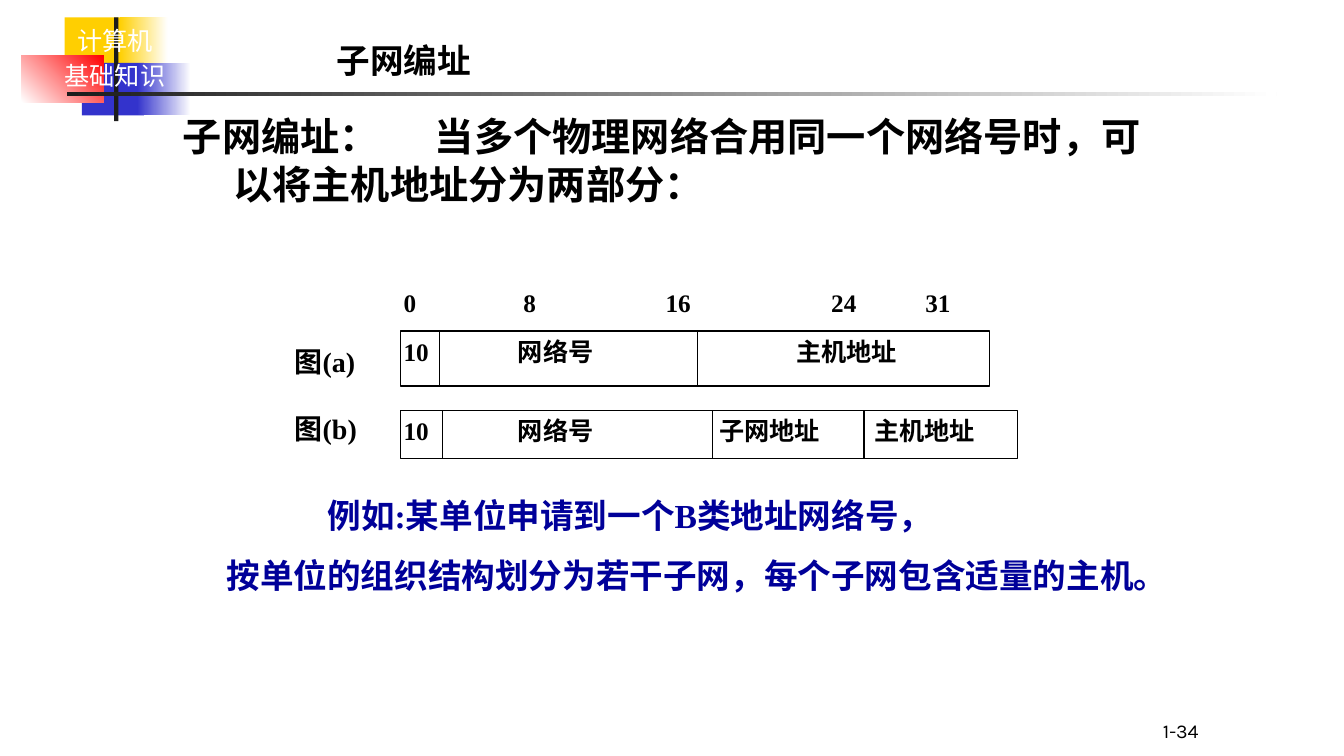
from pptx import Presentation
from pptx.util import Cm, Pt
from pptx.dml.color import RGBColor
from pptx.enum.shapes import MSO_SHAPE, MSO_CONNECTOR
from pptx.enum.text import PP_ALIGN, MSO_ANCHOR
from lxml.etree import SubElement
from pptx.oxml.ns import qn

BLACK = RGBColor(0, 0, 0)
WHITE = RGBColor(255, 255, 255)
GOLD = RGBColor(0xFF, 0xCF, 0x01)
BLUE = RGBColor(0x33, 0x33, 0xCC)
RED = RGBColor(255, 0, 0)
DARK = RGBColor(0x1C, 0x1C, 0x1C)
NAVY = RGBColor(0, 0, 0x99)
SANS, SERIF, KARLA = "Noto Sans CJK SC", "Times New Roman", "Karla"

# Content: lengths in cm
TITLE = "子网编址"
BODY = " 子网编址：\t当多个物理网络合用同一个网络号时，可以将主机地址分为两部分："
CASE = "\t例如:某单位申请到一个B类地址网络号，\n按单位的组织结构划分为若干子网，每个子网包含适量的主机。"
SCALE = "0\t8\t16\t24\t31"
STOPS = [2.26, 4.95, 8.08, 9.86]
DECOR = [  # left, top, width, height, first colour, last colour, angle
    (1.22, 0.33, 1.22, 0.99, GOLD, None, 0),
    (2.26, 0.33, 0.91, 0.99, GOLD, WHITE, 0),
    (1.55, 1.19, 1.17, 0.99, BLUE, None, 0),
    (2.59, 1.19, 1.02, 0.99, BLUE, WHITE, 0),
    (0.41, 1.04, 1.55, 0.89, WHITE, RED, 45),
    (2.16, 0.33, 0.08, 1.96, DARK, None, 0),
    (1.27, 1.73, 22.86, 0.08, DARK, WHITE, 0),
]
EDGE = 7.57
ROWS = [  # top, width, height, dividers, labels with their left edges
    (6.25, 11.13, 1.04, [8.31, 13.18],
     [("10", 7.44), ("网络号", 9.6), ("主机地址", 14.86)]),
    (7.75, 11.66, 0.91, [8.36, 13.46, 16.33],
     [("10", 7.44), ("网络号", 9.6), ("子网地址", 13.41), ("主机地址", 16.33)]),
]

deck = Presentation()
deck.slide_width, deck.slide_height = Cm(25.4), Cm(14.28)
slide = deck.slides.add_slide(deck.slide_layouts[5])
shapes = slide.shapes


def write(box, text, size, font, color=BLACK, bold=True, align=PP_ALIGN.LEFT,
          anchor=MSO_ANCHOR.TOP, before=0, hang=0, stops=()):
    frame = box.text_frame
    frame.text = text
    frame.word_wrap = True
    frame.vertical_anchor = anchor
    frame.margin_left = frame.margin_right = Cm(0.19)
    frame.margin_top = frame.margin_bottom = Cm(0.1)
    for para in frame.paragraphs:
        para.alignment = align
        para.space_before = Pt(before)
        props = para._p.get_or_add_pPr()
        if hang:
            props.set("marL", str(Cm(hang)))
            props.set("indent", str(-Cm(hang)))
        if stops:
            tabs = SubElement(props, qn("a:tabLst"))
            for stop in stops:
                SubElement(tabs, qn("a:tab"), pos=str(Cm(stop)), algn="l")
        for run in para.runs:
            run.font.size, run.font.bold = Pt(size), bold
            run.font.name = font
            run.font.color.rgb = color
            east = SubElement(run._r.get_or_add_rPr(), qn("a:ea"))
            east.set("typeface", SANS)
    return frame


def place(left, top, width, height):
    return shapes.add_textbox(Cm(left), Cm(top), Cm(width), Cm(height))


def block(left, top, width, height):
    rect = shapes.add_shape(MSO_SHAPE.RECTANGLE, Cm(left), Cm(top),
                            Cm(width), Cm(height))
    rect.shadow.inherit = False
    return rect


# Corner decoration and rule
for left, top, width, height, first, last, angle in DECOR:
    rect = block(left, top, width, height)
    rect.line.fill.background()
    if last is None:
        rect.fill.solid()
        rect.fill.fore_color.rgb = first
    else:
        rect.fill.gradient()
        rect.fill.gradient_angle = angle
        for stop, color in zip(rect.fill.gradient_stops, (first, last)):
            stop.color.rgb = color
write(place(0.69, 0.38, 2.97, 1.52), "计算机\n基础知识", 13.5, KARLA, WHITE,
      bold=False, align=PP_ALIGN.CENTER, before=2.7)

# Title, body and page number
title = shapes.title
title.left, title.top, title.width, title.height = (
    Cm(6.17), Cm(0.15), Cm(15.65), Cm(1.47))
write(title, TITLE, 18, SANS, anchor=MSO_ANCHOR.BOTTOM, hang=1.12)
write(place(3.1, 2.03, 18.69, 3), BODY, 21, SANS, before=4.2, hang=1.12,
      stops=[6.24])
write(place(20.96, 13.49, 1.88, 0.64), "1-34", 10.5, KARLA, bold=False,
      align=PP_ALIGN.RIGHT, anchor=MSO_ANCHOR.BOTTOM)

# Address diagrams
write(place(7.44, 5.33, 11.9, 0.89), SCALE, 13.5, SERIF, stops=STOPS)
for top, width, height, cuts, labels in ROWS:
    rect = block(EDGE, top, width, height)
    rect.fill.background()
    rect.line.color.rgb, rect.line.width = BLACK, Pt(0.75)
    for cut in cuts:
        line = shapes.add_connector(MSO_CONNECTOR.STRAIGHT, Cm(cut), Cm(top),
                                    Cm(cut), Cm(top + height))
        line.line.color.rgb, line.line.width = BLACK, Pt(0.75)
        SubElement(line._element.spPr, qn("a:effectLst"))
    for text, left in labels:
        span = 1.04 if text == "10" else 2.8
        write(place(left, top, span, 0.9), text, 13.5, SERIF)
names = write(place(5.38, 6.4, 2.21, 2.44), "图(a)\n图(b)", 15, SERIF)
names.paragraphs[1].space_before = Pt(18)

# Example
case = write(place(4.09, 9.09, 18.01, 2.29), CASE, 18, SERIF, NAVY,
             before=6.3, stops=[1.91])
for para in case.paragraphs:
    para.line_spacing = 1.2

deck.save("out.pptx")
